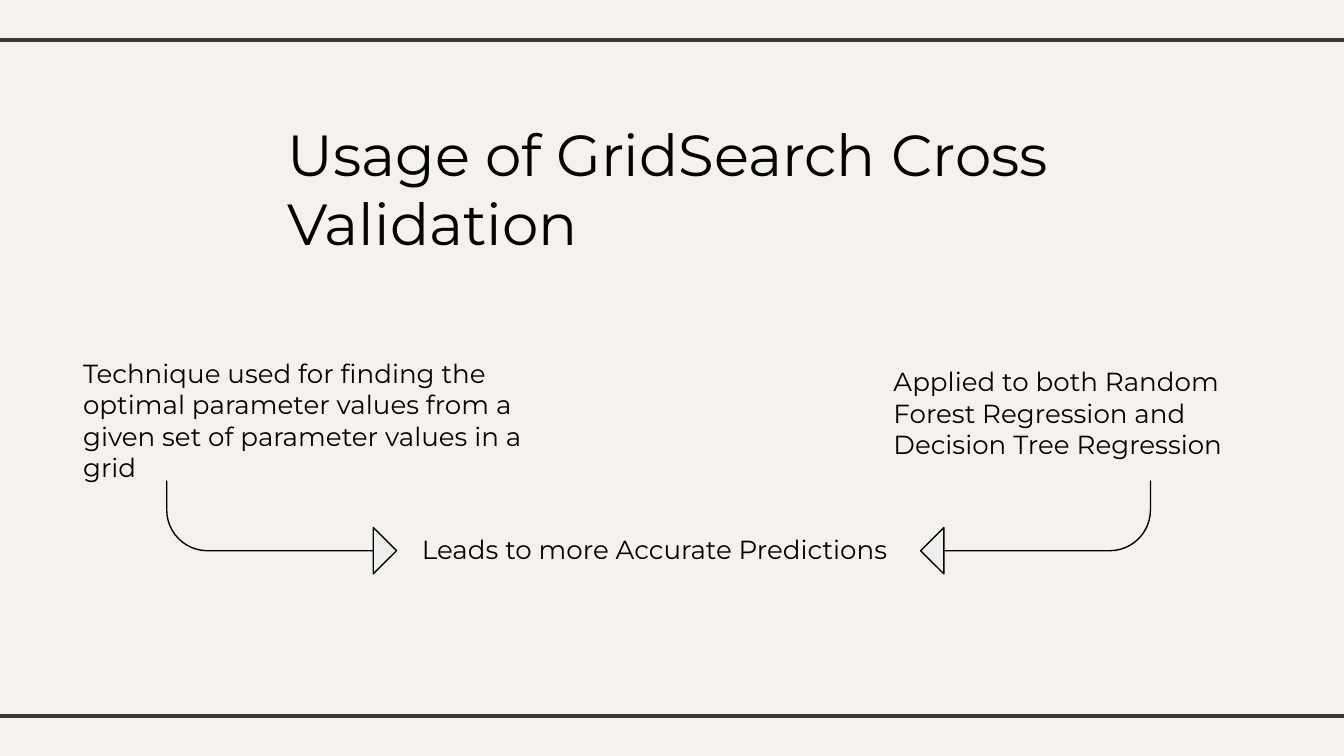
from dataclasses import dataclass

from pptx import Presentation
from pptx.dml.color import RGBColor
from pptx.enum.shapes import MSO_CONNECTOR, MSO_SHAPE
from pptx.enum.text import MSO_ANCHOR, MSO_AUTO_SIZE, PP_ALIGN
from pptx.oxml.ns import qn
from pptx.util import Inches, Pt
from lxml import etree

STRAIGHT = MSO_CONNECTOR.STRAIGHT
BENT_ARROW = MSO_SHAPE.BENT_ARROW
TOP = MSO_ANCHOR.TOP
LEFT = PP_ALIGN.LEFT
GROW = MSO_AUTO_SIZE.SHAPE_TO_FIT_TEXT

TITLE_LAYOUT = 5
SLIDE_WIDTH = Inches(10)
SLIDE_HEIGHT = SLIDE_WIDTH * 9 // 16
BACKGROUND, RULE, INK, ARROW_FILL = "F5F2EE", "3F3533", "000000", "EEEEEE"
FONT = "Montserrat"
ARROW_TOP, ARROW_WIDTH, ARROW_HEIGHT = 3.58, 1.71, 0.69
FRAME_FORMAT = {
    "word_wrap": True,
    "auto_size": GROW,
    "vertical_anchor": TOP,
    "margin_left": Inches(0.1),
    "margin_top": Inches(0.1),
    "margin_right": Inches(0.1),
    "margin_bottom": Inches(0.1),
}


@dataclass
class Note:
    text: str
    left: float
    top: float
    width: float
    height: float


@dataclass
class Arrow:
    left: float
    points_right: bool


TITLE = Note("Usage of GridSearch Cross Validation", 2.04, 0.78, 5.93, 1.25)
NOTES = [
    Note("Technique used for finding the optimal parameter values from a given "
         "set of parameter values in a grid", 0.52, 2.56, 3.8, 1.14),
    Note("Applied to both Random Forest Regression and Decision Tree Regression",
         6.55, 2.62, 3, 0.91),
    Note("Leads to more Accurate Predictions", 3.04, 3.87, 4.19, 0.44),
]
ARROWS = [Arrow(1.24, True), Arrow(6.85, False)]


def color(value: str) -> RGBColor:
    return RGBColor.from_string(value)


def write_text(shape, text: str, size: float) -> None:
    frame = shape.text_frame
    for name, value in FRAME_FORMAT.items():
        setattr(frame, name, value)
    paragraph = frame.paragraphs[0]
    paragraph.alignment = LEFT
    run = paragraph.add_run()
    run.text = text
    for name, value in {"name": FONT, "size": Pt(size)}.items():
        setattr(run.font, name, value)
    run.font.color.rgb = color(INK)


def add_rule(slide, y: float) -> None:
    rule = slide.shapes.add_connector(
        STRAIGHT, Inches(-0.08), Inches(y), Inches(10.08), Inches(y))
    rule.line.color.rgb = color(RULE)
    rule.line.width = Pt(2.25)
    etree.SubElement(rule._element.spPr, qn("a:effectLst"))


def add_title(slide, title: Note) -> None:
    shape = slide.shapes.title
    for name in ("left", "top", "width", "height"):
        setattr(shape, name, Inches(getattr(title, name)))
    write_text(shape, title.text, 31)


def add_note(slide, note: Note) -> None:
    box = slide.shapes.add_textbox(
        Inches(note.left), Inches(note.top), Inches(note.width), Inches(note.height))
    write_text(box, note.text, 14)


def add_arrow(slide, arrow: Arrow) -> None:
    shape = slide.shapes.add_shape(
        BENT_ARROW, Inches(arrow.left), Inches(ARROW_TOP),
        Inches(ARROW_WIDTH), Inches(ARROW_HEIGHT))
    for index, value in enumerate((0, 0.25, 0.25, 0.44)):
        shape.adjustments[index] = value
    shape.rotation = 180
    if arrow.points_right:
        shape._element.spPr.find(qn("a:xfrm")).set("flipH", "1")
    shape.shadow.inherit = False
    shape.fill.solid()
    shape.fill.fore_color.rgb = color(ARROW_FILL)
    shape.line.color.rgb = color(INK)
    shape.line.width = Pt(0.75)


def main() -> None:
    presentation = Presentation()
    presentation.slide_width = SLIDE_WIDTH
    presentation.slide_height = SLIDE_HEIGHT
    slide = presentation.slides.add_slide(presentation.slide_layouts[TITLE_LAYOUT])
    slide.background.fill.solid()
    slide.background.fill.fore_color.rgb = color(BACKGROUND)

    # Rules along the bottom and top edges
    for y in (5.33, 0.3):
        add_rule(slide, y)

    # Title and notes
    add_title(slide, TITLE)
    for note in NOTES:
        add_note(slide, note)

    # Arrows leading to the conclusion
    for arrow in ARROWS:
        add_arrow(slide, arrow)

    presentation.save("out.pptx")


if __name__ == "__main__":
    main()
